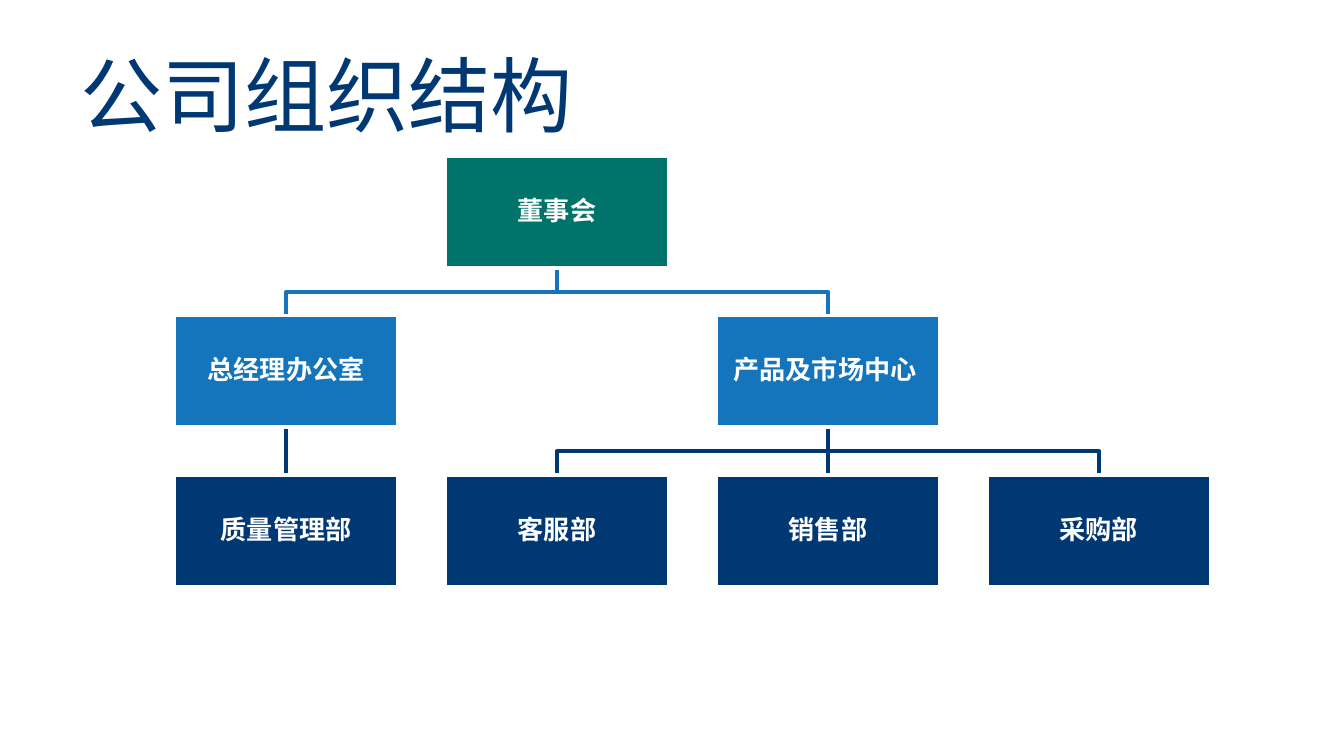
from lxml import etree
from pptx import Presentation
from pptx.dml.color import RGBColor
from pptx.enum import shapes, text
from pptx.oxml import ns
from pptx.util import Cm, Pt


def tint(code):
    return RGBColor.from_string(code)


def write(shape, words, style):
    frame = shape.text_frame
    for name, value in style["frame"].items():
        setattr(frame, name, value)
    para = frame.paragraphs[0]
    for name, value in style["para"].items():
        setattr(para, name, value)
    run = para.add_run()
    run.text = words
    for name, value in style["font"].items():
        setattr(run.font, name, value)
    run.font.color.rgb = tint(style["ink"])
    return run


deck = Presentation()
deck.slide_width, deck.slide_height = Cm(25.4), Cm(14.28)
slide = deck.slides.add_slide(deck.slide_layouts[6])
items = slide.shapes

navy, blue, green, white = "003874", "1475BC", "00746B", "FFFFFF"
middle = text.MSO_ANCHOR.MIDDLE
inset = Cm(0.03)
head = {
    "frame": {"word_wrap": True, "vertical_anchor": middle},
    "para": {"alignment": text.PP_ALIGN.LEFT},
    "font": {"size": Pt(44), "name": "Noto Sans CJK SC"},
    "ink": navy,
}
label = {
    "frame": {
        "word_wrap": True, "vertical_anchor": middle,
        "margin_left": inset, "margin_right": inset,
        "margin_top": inset, "margin_bottom": inset,
    },
    "para": {"alignment": text.PP_ALIGN.CENTER, "line_spacing": 0.9},
    "font": {"size": Pt(14), "name": "Arial", "bold": True},
    "ink": white,
}

title = items.add_textbox(Cm(1.27), Cm(0.58), Cm(22.86), Cm(2.39))
run = write(title, "公司组织结构", head)
east = etree.SubElement(run.font._element, ns.qn("a:ea"))
east.set("typeface", "Noto Sans CJK SC")

left, top = 3.29, 2.95
wide, high = 4.24, 2.11
step, drop = 5.12, 3.01
fills = [green, blue, navy]
units = [
    ("董事会", 1, 0, None),
    ("总经理办公室", 0, 1, "董事会"),
    ("产品及市场中心 ", 2, 1, "董事会"),
    ("质量管理部", 0, 2, "总经理办公室"),
    ("客服部", 1, 2, "产品及市场中心 "),
    ("销售部", 2, 2, "产品及市场中心 "),
    ("采购部", 3, 2, "产品及市场中心 "),
]

boxes = {}
for name, col, row, boss in units:
    box = items.add_shape(
        shapes.MSO_SHAPE.RECTANGLE,
        Cm(left + col * step), Cm(top + row * drop), Cm(wide), Cm(high))
    box.shadow.inherit = False
    box.fill.solid()
    box.fill.fore_color.rgb = tint(fills[row])
    box.line.color.rgb = tint(white)
    box.line.width = Pt(2)
    write(box, name, label)
    boxes[name] = box

for name, col, row, boss in units:
    if boss is None:
        continue
    lead, box = boxes[boss], boxes[name]
    start = lead.left + lead.width // 2, lead.top + lead.height
    end = box.left + box.width // 2, box.top
    if start[0] == end[0]:
        link = items.add_connector(shapes.MSO_CONNECTOR.STRAIGHT, *start, *end)
        link.begin_connect(lead, 2)
        link.end_connect(box, 0)
        etree.SubElement(link._element.spPr, ns.qn("a:effectLst"))
    else:
        bend = (start[1] + end[1]) // 2
        pen = items.build_freeform(*start)
        pen.add_line_segments(
            [(start[0], bend), (end[0], bend), end], close=False)
        link = pen.convert_to_shape()
        link.shadow.inherit = False
        link.fill.background()
    link.line.color.rgb = tint(fills[row])
    link.line.width = Pt(2)
    title._element.addnext(link._element)

deck.save("out.pptx")
